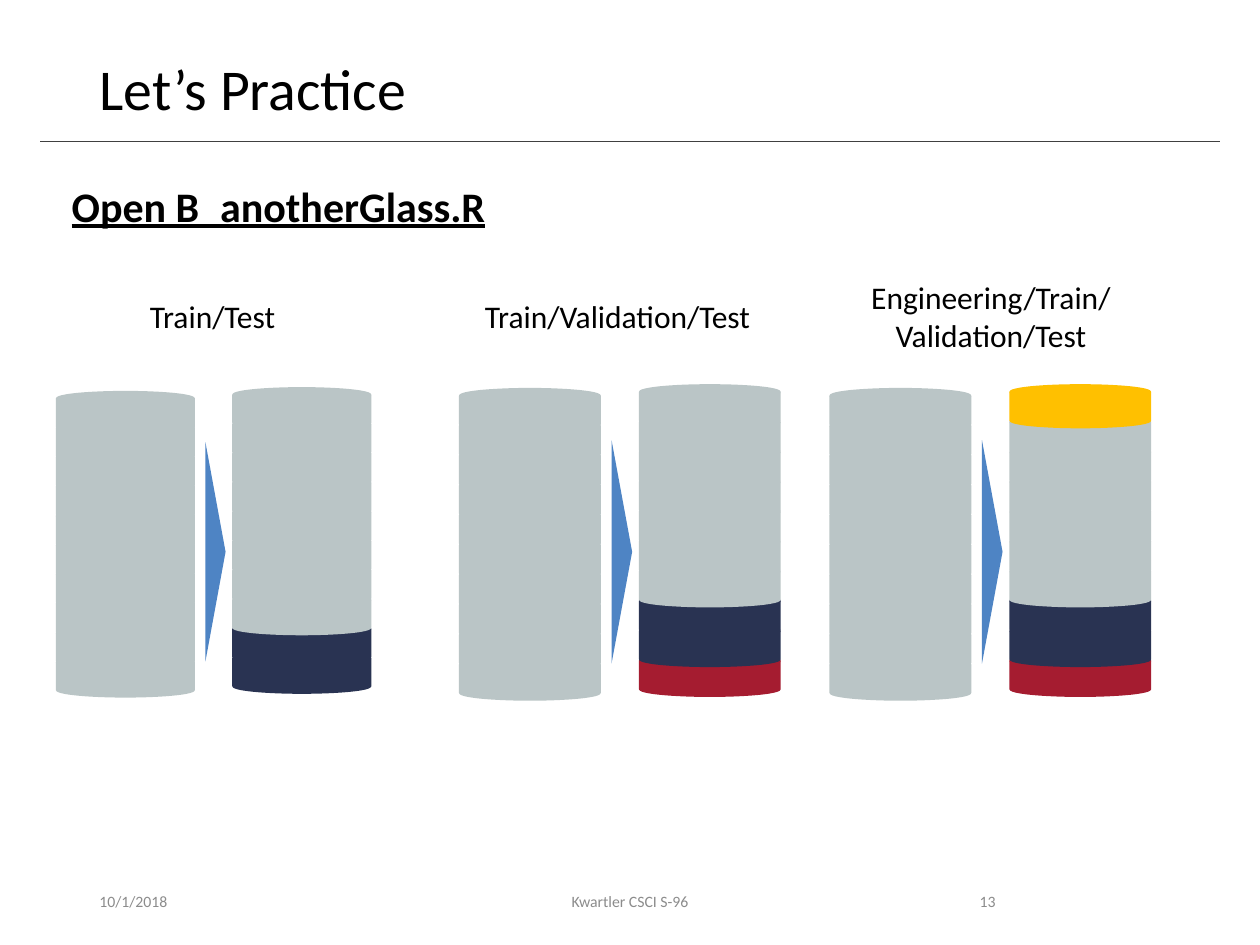
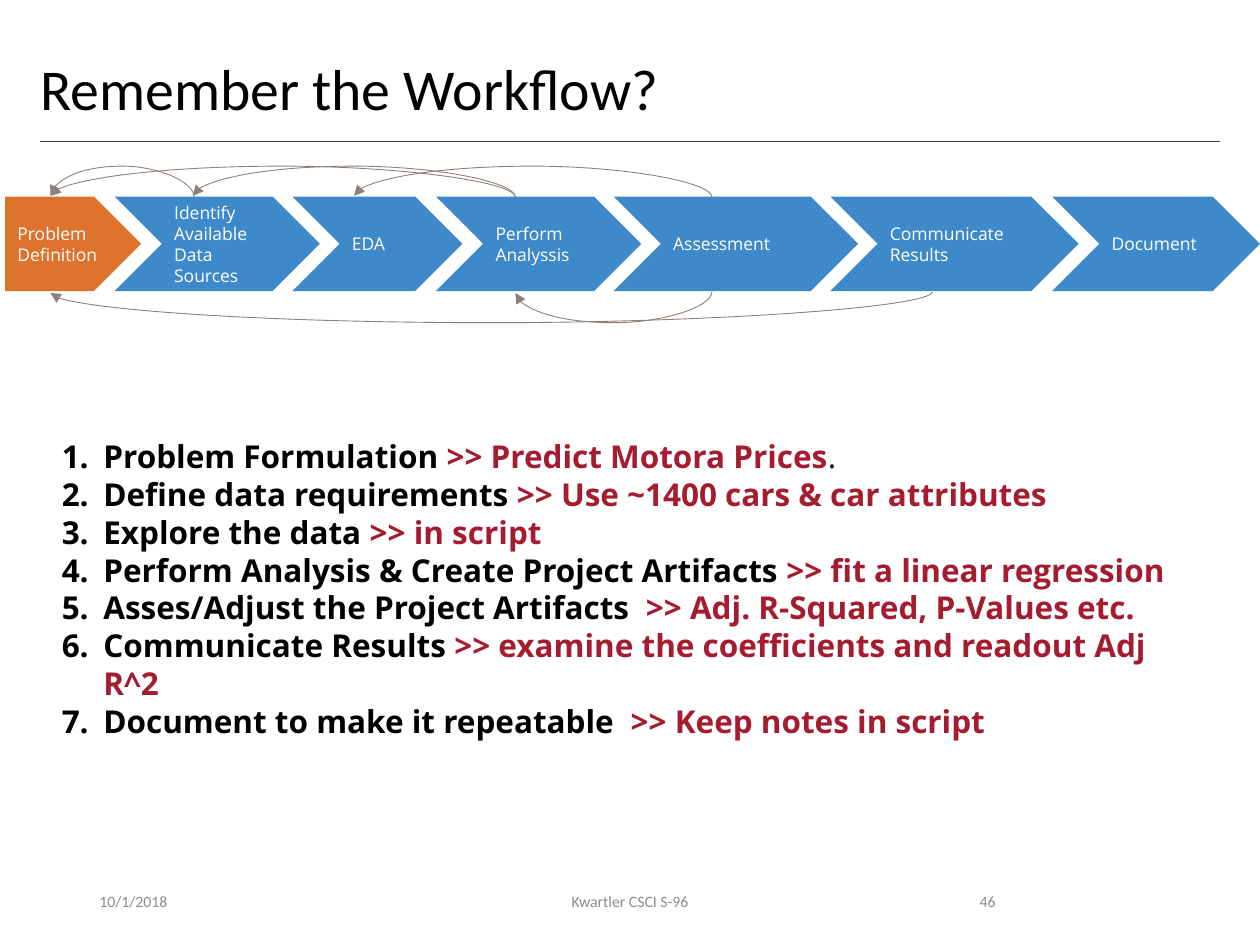
from lxml.etree import SubElement as Sub
from pptx import Presentation
from pptx.dml.color import RGBColor as RGB
from pptx.enum.shapes import MSO_CONNECTOR as Link, MSO_SHAPE as Shape
from pptx.enum.text import MSO_ANCHOR as Anchor, MSO_AUTO_SIZE as Fit, PP_ALIGN as Align
from pptx.oxml.ns import qn
from pptx.util import Inches, Pt

# Colours and fonts
BLACK, WHITE = RGB(0, 0, 0), RGB(255, 255, 255)
DARK, FOOT = RGB(0x40, 0x40, 0x40), RGB(0x8C, 0x8C, 0x8C)
GREY, NAVY = RGB(0xBA, 0xC5, 0xC6), RGB(0x29, 0x33, 0x52)
RED, GOLD = RGB(0xA5, 0x1C, 0x30), RGB(0xFF, 0xC0, 0x00)
WEDGE, STEP = RGB(0x4E, 0x84, 0xC4), RGB(0x3D, 0x89, 0xC9)
START, ARC = RGB(0xDE, 0x73, 0x2E), RGB(0x8C, 0x81, 0x79)
SANS, OPEN = "Calibri", "Open Sans"

# Split of each stack, bottom to top: left, scale, disk colours
SPLITS = [
    (0.45, 1, [NAVY] * 2 + [GREY] * 8),
    (6.59, 1.02, [RED] + [NAVY] * 2 + [GREY] * 6 + [GOLD]),
    (3.65, 1.02, [RED] + [NAVY] * 2 + [GREY] * 7),
]
LABELS = [
    ("Train/Test", 1.09, 2.31, 1.21, 0.4),
    ("Train/Validation/Test", 3.75, 2.31, 2.33, 0.4),
    ("Engineering/Train/\nValidation/Test", 6.8, 2.16, 2.13, 0.71),
]
# Workflow steps: text, left, width
STEPS = [
    ("Problem Definition", 0.04, 1.08),
    ("Identify Available Data Sources", 0.91, 1.63),
    ("EDA", 2.32, 1.35),
    ("Perform Analyssis", 3.46, 1.63),
    ("Assessment", 4.87, 1.94),
    ("Communicate Results", 6.59, 1.97),
    ("Document", 8.35, 1.65),
]
# Loops back to earlier steps: from x, to x, above the steps
LOOPS = [
    (1.54, 0.4, True), (4.09, 1.53, True), (4.09, 0.4, True),
    (5.65, 2.81, True), (7.4, 0.4, False), (5.65, 4.09, False),
]
TASKS = [
    ("Problem Formulation ", ">> Predict Motora Prices", "."),
    ("Define data requirements ", ">> Use ~1400 cars & car attributes"),
    ("Explore the data ", ">> in script"),
    ("Perform Analysis & Create Project Artifacts ", ">> fit a linear regression"),
    ("Asses/Adjust the Project Artifacts  ", ">> Adj. R-Squared, P-Values etc."),
    ("Communicate Results ", ">> examine the coefficients and readout Adj R^2"),
    ("Document to make it repeatable  ", ">> Keep notes in script"),
]


def place(item, x, y, w, h):
    item.left, item.top, item.width, item.height = map(Inches, (x, y, w, h))


def style(font, size, color, name=SANS, bold=False):
    font.size, font.name, font.bold = Pt(size), name, bold
    font.color.rgb = color


def pad(frame):
    frame.margin_left = frame.margin_right = Inches(0.1)
    frame.margin_top = frame.margin_bottom = Inches(0.1)


def add_text(slide, text, box, size, color=BLACK, align=Align.LEFT,
             wrap=False, anchor=Anchor.TOP, bold=False):
    frame = slide.shapes.add_textbox(*map(Inches, box)).text_frame
    frame.text, frame.word_wrap = text, wrap
    frame.vertical_anchor = anchor
    for para in frame.paragraphs:
        para.alignment = align
        style(para.runs[0].font, size, color, bold=bold)
    return frame


def add_line(slide, kind, ends, color):
    line = slide.shapes.add_connector(kind, *map(Inches, ends))
    line.line.color.rgb, line.line.width = color, Pt(0.5)
    Sub(line._element.spPr, qn("a:effectLst"))
    return line


def add_solid(shapes, kind, box, color, edge=False):
    solid = shapes.add_shape(kind, *map(Inches, box))
    solid.shadow.inherit = False
    solid.fill.solid()
    solid.fill.fore_color.rgb = color
    if edge:
        solid.line.color.rgb, solid.line.width = color, Pt(1)
    else:
        solid.line.fill.background()
    return solid


def add_slide(deck, layout, title, left, number):
    """Slide with title, rule and footer."""
    slide = deck.slides.add_slide(deck.slide_layouts[layout])
    head = slide.shapes.title
    place(head, left, 0.4, 9.31 - left, 0.65)
    frame = head.text_frame
    frame.text, frame.auto_size = title, Fit.NONE
    frame.vertical_anchor = Anchor.MIDDLE
    para = frame.paragraphs[0]
    para.alignment, para.line_spacing = Align.LEFT, 0.9
    style(para.runs[0].font, 33, BLACK)
    add_line(slide, Link.STRAIGHT, (0.32, 1.12, 9.68, 1.12), DARK)
    for text, x, w, align in [("10/1/2018", 0.69, 2.25, Align.LEFT),
                              ("Kwartler CSCI S-96", 3.31, 3.38, Align.CENTER),
                              (number, 7.06, 0.94, Align.RIGHT)]:
        add_text(slide, text, (x, 6.95, w, 0.4), 9, FOOT, align, True, Anchor.MIDDLE)
    return slide


def add_stack(shapes, x, mid, scale, colors):
    """Disks piled upwards around a middle height."""
    w, h, span = 1.09 * scale, 0.33 * scale, 2.09 * scale
    low = mid + (span - h) / 2
    for i, color in enumerate(colors):
        y = low - i * span / (len(colors) - 1)
        add_solid(shapes, Shape.FLOWCHART_MAGNETIC_DISK, (x, y, w, h), color, True)


def add_split(slide, x, scale, colors):
    """Whole stack, wedge and divided stack."""
    shapes = slide.shapes.add_group_shape().shapes
    add_stack(shapes, x, 4.32, scale, [GREY] * 10)
    w, h = 1.74 * scale, 0.16 * scale
    box = (x + 1.26 * scale - w / 2, 4.38 - h / 2, w, h)
    add_solid(shapes, Shape.ISOSCELES_TRIANGLE, box, WEDGE).rotation = 90
    add_stack(shapes, x + 1.4 * scale, 4.29, scale, colors)


def add_step(slide, text, x, w, first):
    kind, color = (Shape.PENTAGON, START) if first else (Shape.CHEVRON, STEP)
    step = add_solid(slide.shapes, kind, (x, 1.56, w, 0.75), color)
    step.adjustments[0] = 0.5
    frame = step.text_frame
    frame.text, frame.word_wrap = text, True
    frame.vertical_anchor = Anchor.MIDDLE
    pad(frame)
    para = frame.paragraphs[0]
    para.alignment = Align.LEFT
    style(para.runs[0].font, 10, WHITE, OPEN)


def add_loop(slide, start, end, above):
    """Curved arrow: a thin upright connector turned on its side."""
    thin, bulge, tall = 0.01, 0.25, start - end
    x = (start + end - thin) / 2
    y = (1.56 if above else 2.32) - tall / 2
    loop = add_line(slide, Link.CURVE, (x, y, x + thin, y + tall), ARC)
    props = loop._element.spPr
    frame = props.find(qn("a:xfrm"))
    frame.set("rot", str((270 if above else 90) * 60000))
    if above:
        frame.set("flipV", "1")
    geom = props.find(qn("a:prstGeom"))
    guides = geom.find(qn("a:avLst"))
    if guides is None:
        guides = Sub(geom, qn("a:avLst"))
    Sub(guides, qn("a:gd"), name="adj1", fmla=f"val {round(bulge / thin * 100000)}")
    Sub(loop.line._get_or_add_ln(), qn("a:tailEnd"), type="triangle")


def fill_list(body, tasks):
    """Numbered tasks with their answers in red."""
    frame = body.text_frame
    frame.auto_size = Fit.NONE
    pad(frame)
    for i, parts in enumerate(tasks):
        para = frame.paragraphs[0] if i == 0 else frame.add_paragraph()
        props = para._p.get_or_add_pPr()
        props.set("marL", str(Inches(0.5)))
        props.set("indent", str(Inches(-0.33)))
        Sub(props, qn("a:buFont"), typeface="+mj-lt")
        Sub(props, qn("a:buAutoNum"), type="arabicPeriod")
        para.space_before = Pt(0)
        for part, color, bold in zip(parts, (BLACK, RED, BLACK), (True, True, False)):
            run = para.add_run()
            run.text = part
            style(run.font, 18, color, OPEN, bold)


def main():
    deck = Presentation()
    deck.slide_width, deck.slide_height = Inches(10), Inches(7.5)

    # Practice: three ways to split the data
    slide = add_slide(deck, 5, "Let’s Practice", 0.69, "13")
    for split in SPLITS:
        add_split(slide, *split)
    for text, *box in LABELS:
        align = Align.CENTER if "\n" in text else Align.LEFT
        add_text(slide, text, box, 18, align=align)
    task = add_text(slide, "Open B_anotherGlass.R", (0.47, 1.38, 3.52, 0.5), 24, bold=True)
    task.paragraphs[0].runs[0].font.underline = True

    # Workflow: steps, loops and task list
    slide = add_slide(deck, 1, "Remember the Workflow?", 0.22, "46")
    body = slide.placeholders[1]
    place(body, 0.22, 3.37, 9.24, 2.29)
    fill_list(body, TASKS)
    for i, step in enumerate(STEPS):
        add_step(slide, *step, first=i == 0)
    for loop in LOOPS:
        add_loop(slide, *loop)

    deck.save("out.pptx")


if __name__ == "__main__":
    main()
